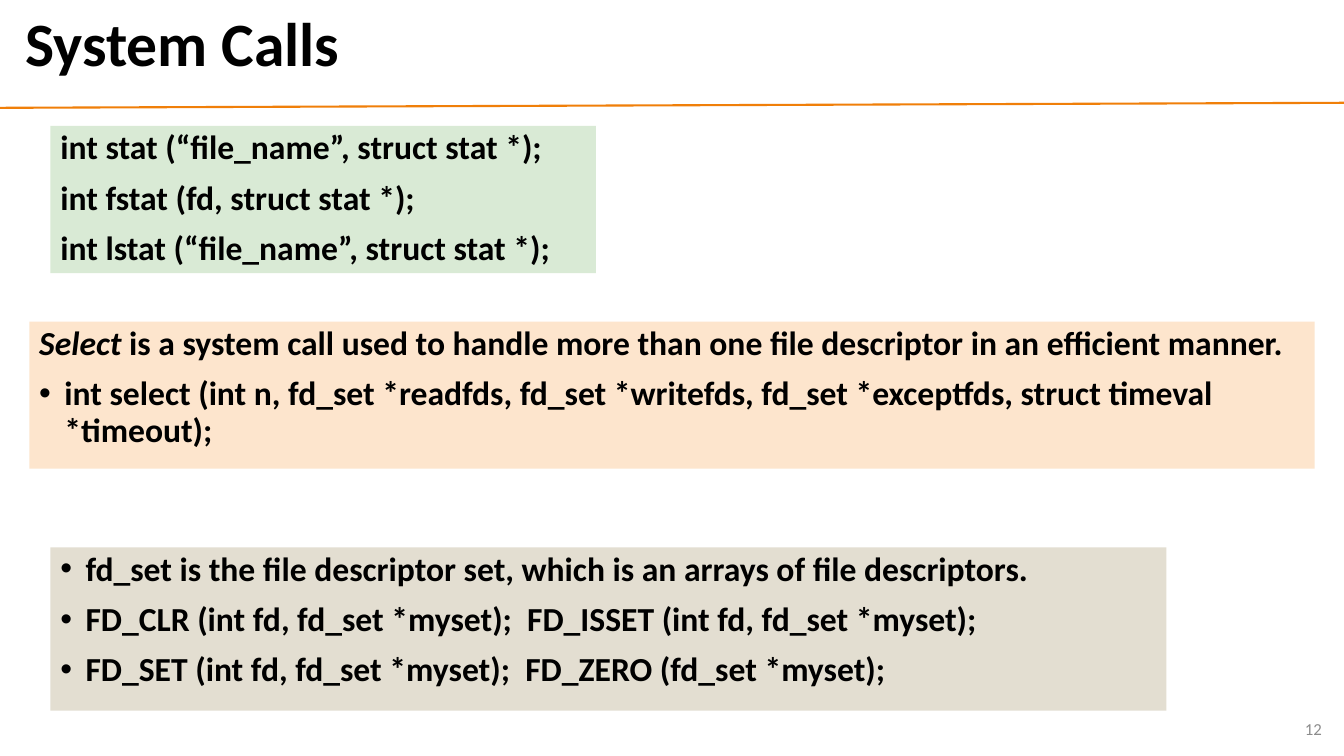
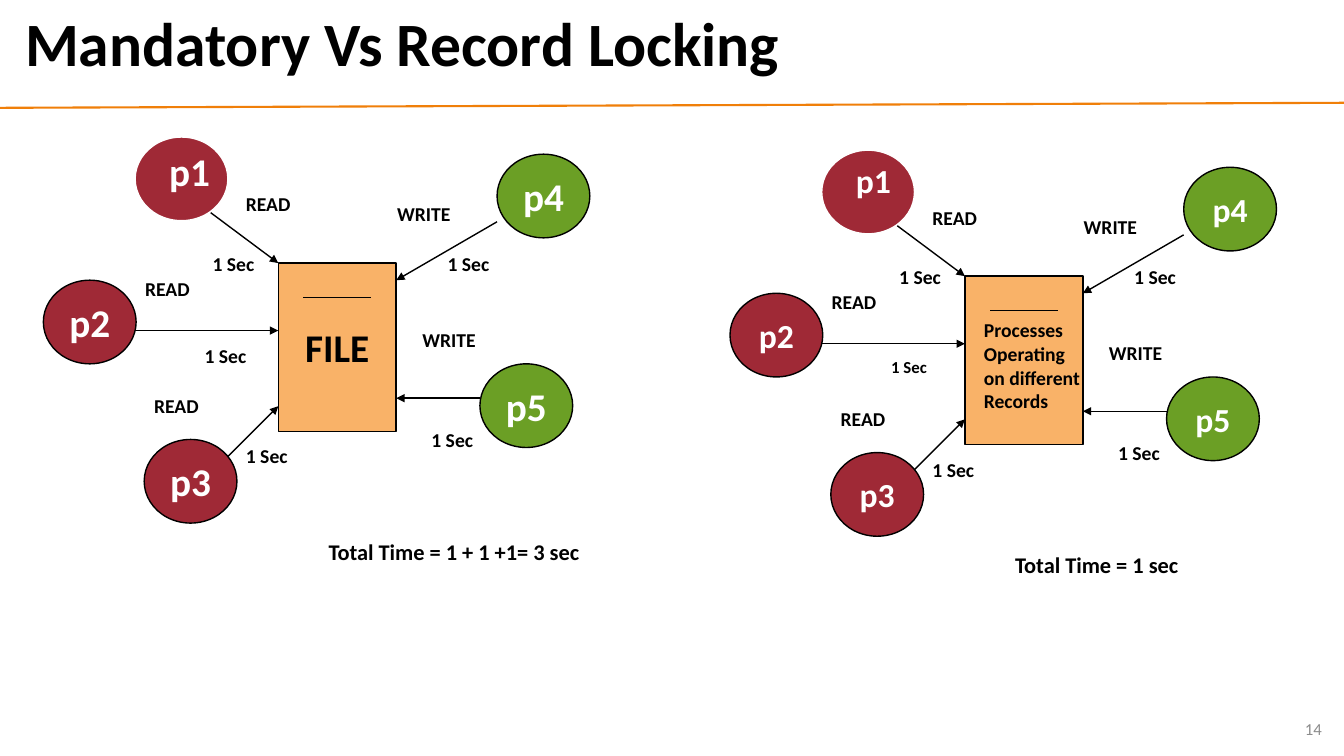
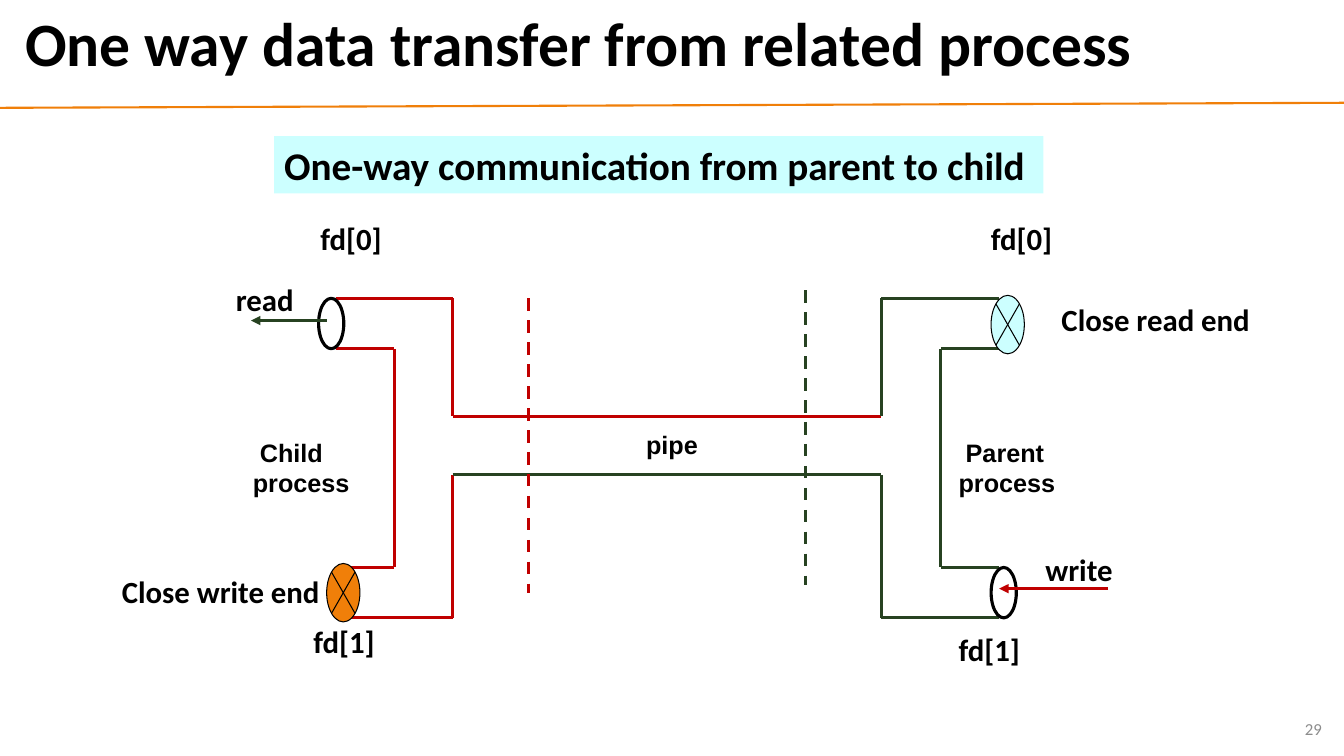
from lxml import etree
from pptx import Presentation
from pptx.dml.color import RGBColor
from pptx.enum.dml import MSO_LINE
from pptx.enum.shapes import MSO_CONNECTOR, MSO_SHAPE
from pptx.enum.text import MSO_ANCHOR, PP_ALIGN
from pptx.oxml.ns import qn
from pptx.util import Inches, Pt

BLACK, WHITE, GRAY = "000000", "FFFFFF", "8C8C8C"
ORANGE, PEACH, CYAN = "F07F09", "F9B268", "CCFFFF"
MAROON, LEAF, RED, FOREST = "9F2936", "6B9F25", "C00000", "274221"

TITLE = {"size": 44, "anchor": MSO_ANCHOR.MIDDLE, "line_spacing": 0.9}
PAGE_NUMBER = {"size": 12, "bold": False, "color": GRAY,
               "align": PP_ALIGN.RIGHT, "anchor": MSO_ANCHOR.MIDDLE}
BODY = {"size": 24, "line_spacing": 0.9, "space_before": 10}
CENTERED = {"align": PP_ALIGN.CENTER, "anchor": MSO_ANCHOR.MIDDLE, "wrap": False}
PIPE_LABEL = {"size": 22}
PROCESS_LABEL = {"size": 18, "font": "Arial", "wrap": False}

CALL_PANELS = [
    ((0.5, 1.25, 5.41, 1.46), "D9EAD5", [
        {"text": "int stat (“file_name”, struct stat *);"},
        {"text": "int fstat (fd, struct stat *);"},
        {"text": "int lstat (“file_name”, struct stat *);"},
    ]),
    ((0.29, 3.19, 12.75, 1.46), "FDE5CD", [
        {"lead": "Select ",
         "text": "is a system call used to handle more than one file descriptor "
                 "in an efficient manner."},
        {"bullet": True,
         "text": "int select (int n, fd_set *readfds, fd_set *writefds, "
                 "fd_set *exceptfds, struct timeval *timeout);"},
    ]),
    ((0.5, 5.43, 11.07, 1.62), "E3DED1", [
        {"bullet": True,
         "text": "fd_set is the file descriptor set, which is an arrays of file descriptors."},
        {"bullet": True,
         "text": "FD_CLR (int fd, fd_set *myset);  FD_ISSET (int fd, fd_set *myset);"},
        {"bullet": True,
         "text": "FD_SET (int fd, fd_set *myset);  FD_ZERO (fd_set *myset);"},
    ]),
]

PROCESSES = [
    ("", 1.34, 1.36, MAROON, WHITE),
    ("p2", 0.43, 2.78, MAROON, BLACK),
    ("p3", 1.43, 4.36, MAROON, BLACK),
    ("p4", 4.93, 1.53, LEAF, BLACK),
    ("p5", 4.76, 3.61, LEAF, BLACK),
]
ACCESS_ARROWS = [
    ((2.09, 2.11), (2.76, 2.61)),
    ((1.34, 3.28), (2.76, 3.28)),
    ((2.26, 4.53), (2.76, 4.03)),
    ((4.93, 2.2), (3.93, 2.78)),
    ((4.76, 3.95), (3.93, 3.95)),
]
ACCESS_LABELS = [
    ("READ", 2.34, 1.86), ("READ", 1.34, 2.7), ("READ", 1.43, 3.86),
    ("WRITE", 3.84, 1.95), ("WRITE", 4.09, 3.2),
]
DURATIONS = [(2.01, 2.45), (1.93, 3.36), (2.34, 4.36), (4.18, 4.2), (4.34, 2.45)]
LOCKINGS = [
    {"offset": (0, 0), "file": ["FILE"], "file_box": (2.76, 2.61, 1.17, 1.67),
     "file_format": {"size": 28, **CENTERED}, "process_size": 28,
     "p2_duration": (0.62, 14), "total": "Total Time = 1 + 1 +1= 3 sec",
     "total_width": 2.72},
    {"offset": (6.81, 0.13),
     "file": ["Processes", "Operating", "on different", "Records"],
     "file_box": (2.85, 2.98, 1.17, 1.04),
     "file_format": {"size": 14, "wrap": False}, "process_size": 24,
     "p2_duration": (0.57, 12), "total": "Total Time = 1 sec", "total_width": 1.84},
]

PIPE_RUNS = [
    (RED, [(3.33, 2.96), (4.49, 2.96), (4.49, 4.13), (8.74, 4.13)]),
    (RED, [(3.33, 3.46), (3.91, 3.46), (3.91, 5.63), (3.41, 5.63)]),
    (RED, [(3.41, 6.13), (4.49, 6.13), (4.49, 4.71)]),
    (FOREST, [(4.49, 4.71), (8.74, 4.71), (8.74, 6.13), (9.91, 6.13)]),
    (FOREST, [(8.74, 4.13), (8.74, 2.96), (9.91, 2.96)]),
    (FOREST, [(9.91, 3.46), (9.33, 3.46), (9.33, 5.63), (9.91, 5.63)]),
]
BOUNDARIES = [(RED, 5.24, 2.96), (FOREST, 7.99, 2.88)]
OPEN_ENDS = [(3.16, 2.96), (9.83, 5.63)]
CLOSED_ENDS = [(9.83, 2.93, CYAN), (3.24, 5.59, ORANGE)]
DATA_ARROWS = [(RED, (10.99, 5.84), (9.91, 5.84)), (FOREST, (3.24, 3.18), (2.49, 3.18))]
END_LABELS = [
    ("fd[0]", 3.08, 2.13, 1.31), ("fd[0]", 9.73, 2.13, 1.31),
    ("fd[1]", 3.01, 6.13, 1.31), ("fd[1]", 9.41, 6.21, 1.31),
    ("write", 10.27, 5.41, 0.95), ("read", 2.24, 2.74, 0.85),
    ("Close read end", 10.43, 2.93, 2.23), ("Close write end", 1.11, 5.63, 2.25),
]
PROCESS_NAMES = [("Child", 2.41), ("Parent", 9.41)]


def rgb(value):
    return RGBColor.from_string(value)


def box(values):
    return [Inches(value) for value in values]


def set_all(target, values):
    for name, value in values.items():
        setattr(target, name, value)


def indent(paragraph, left, first, bullet=""):
    properties = paragraph._p.get_or_add_pPr()
    properties.set("marL", str(Inches(left)))
    properties.set("indent", str(Inches(first)))
    if bullet:
        etree.SubElement(properties, qn("a:buFont")).set("typeface", "Arial")
        etree.SubElement(properties, qn("a:buChar")).set("char", bullet)


def write(shape, paragraphs, size, font="Calibri", color=BLACK, bold=True,
          align=PP_ALIGN.LEFT, anchor=MSO_ANCHOR.TOP, wrap=True,
          line_spacing=1.0, space_before=0):
    frame = shape.text_frame
    set_all(frame, {"word_wrap": wrap, "vertical_anchor": anchor})
    for index, content in enumerate(paragraphs):
        if isinstance(content, str):
            content = {"text": content}
        paragraph = frame.add_paragraph() if index else frame.paragraphs[0]
        set_all(paragraph, {"alignment": align, "line_spacing": line_spacing})
        if index:
            paragraph.space_before = Pt(space_before)
        if content.get("bullet"):
            indent(paragraph, 0.25, -0.25, "•")
        if content.get("first_line"):
            indent(paragraph, 0, content["first_line"])
        for key in ("lead", "text"):
            if key in content:
                run = paragraph.add_run()
                run.text = content[key]
                set_all(run.font, {"name": font, "size": Pt(size), "bold": bold,
                                   "italic": key == "lead"})
                run.font.color.rgb = rgb(color)


def add_text(slide, place, paragraphs, **text_format):
    shape = slide.shapes.add_textbox(*box(place))
    write(shape, paragraphs, **text_format)


def add_filled(slide, kind, place, fill, line=None, width=1):
    shape = slide.shapes.add_shape(kind, *box(place))
    shape.shadow.inherit = False
    shape.fill.solid()
    shape.fill.fore_color.rgb = rgb(fill)
    if line:
        shape.line.color.rgb = rgb(line)
        shape.line.width = Pt(width)
    else:
        shape.line.fill.background()
    return shape


def add_line(slide, start, end, color=BLACK, width=1, arrow=False, dash=None):
    connector = slide.shapes.add_connector(MSO_CONNECTOR.STRAIGHT, *box(start + end))
    connector.line.color.rgb = rgb(color)
    connector.line.width = Pt(width)
    if dash:
        connector.line.dash_style = dash
    if arrow:
        outline = connector.line._get_or_add_ln()
        etree.SubElement(outline, qn("a:tailEnd")).set("type", "triangle")
    etree.SubElement(connector._element.spPr, qn("a:effectLst"))


def add_page(presentation, title, number):
    slide = presentation.slides.add_slide(presentation.slide_layouts[6])
    add_line(slide, (0, 1.07), (13.33, 1.02), ORANGE, 1.5)
    add_text(slide, (0.15, 0.05, 12.89, 0.83), [title], **TITLE)
    add_text(slide, (10.21, 7.03, 3, 0.4), [str(number)], **PAGE_NUMBER)
    return slide


def add_system_calls(slide):
    for place, fill, paragraphs in CALL_PANELS:
        panel = add_filled(slide, MSO_SHAPE.RECTANGLE, place, fill)
        write(panel, paragraphs, **BODY)


def add_locking(slide, locking):
    def shift(x, y, *extent):
        dx, dy = locking["offset"]
        return (x + dx, y + dy) + extent

    size = locking["process_size"]
    add_filled(slide, MSO_SHAPE.RECTANGLE, shift(2.76, 2.61, 1.17, 1.67), PEACH, BLACK)
    for name, x, y, fill, line in PROCESSES:
        circle = add_filled(slide, MSO_SHAPE.OVAL, shift(x, y, 0.92, 0.83), fill, line)
        if name:
            write(circle, [name], size, color=WHITE, **CENTERED)
    add_text(slide, shift(1.58, 1.41, 0.61, 0.57), ["p1"],
             size=size, color=WHITE, wrap=False)
    for start, end in ACCESS_ARROWS:
        add_line(slide, shift(*start), shift(*end), arrow=True)
    add_line(slide, shift(3.01, 2.95), shift(3.68, 2.95))
    for label, x, y in ACCESS_LABELS:
        add_text(slide, shift(x, y, 1.17, 0.34), [label], size=14)
    for index, (x, y) in enumerate(DURATIONS):
        width, label_size = locking["p2_duration"] if index == 1 else (0.62, 14)
        add_text(slide, shift(x, y, width, 0.34), ["1 Sec"], size=label_size, wrap=False)
    add_text(slide, shift(*locking["file_box"]), locking["file"], **locking["file_format"])
    add_text(slide, shift(3.16, 5.29, locking["total_width"], 0.37),
             [locking["total"]], size=16, wrap=False)


def add_pipe(slide):
    for color, points in PIPE_RUNS:
        for start, end in zip(points, points[1:]):
            add_line(slide, start, end, color, 2.25)
    for color, x, top in BOUNDARIES:
        add_line(slide, (x, top), (x, top + 2.92), color, 2.25, dash=MSO_LINE.DASH)
    for x, y in OPEN_ENDS:
        add_filled(slide, MSO_SHAPE.OVAL, (x, y, 0.25, 0.5), WHITE, BLACK, 2.25)
    for x, y, fill in CLOSED_ENDS:
        add_filled(slide, MSO_SHAPE.FLOWCHART_SUMMING_JUNCTION,
                   (x, y, 0.33, 0.58), fill, BLACK, 0.75)
    for color, start, end in DATA_ARROWS:
        add_line(slide, start, end, color, 2.25, arrow=True)
    for label, x, y, width in END_LABELS:
        add_text(slide, (x, y, width, 0.47), [label], **PIPE_LABEL)
    for name, x in PROCESS_NAMES:
        add_text(slide, (x, 4.29, 1.16, 0.7),
                 [{"text": name, "first_line": 0.07}, "process"], **PROCESS_LABEL)
    add_text(slide, (6.31, 4.21, 0.72, 0.4), ["pipe"], **PROCESS_LABEL)
    heading = add_filled(slide, MSO_SHAPE.RECTANGLE, (2.72, 1.35, 7.63, 0.57), CYAN)
    write(heading, ["One-way communication from parent to child"], 28)


def main():
    presentation = Presentation()
    set_all(presentation, {"slide_width": Inches(13.33), "slide_height": Inches(7.5)})
    add_system_calls(add_page(presentation, "System Calls", 12))
    locking_slide = add_page(presentation, "Mandatory Vs Record Locking", 14)
    for locking in LOCKINGS:
        add_locking(locking_slide, locking)
    add_pipe(add_page(presentation, "One way data transfer from related process", 29))
    presentation.save("out.pptx")


if __name__ == "__main__":
    main()
